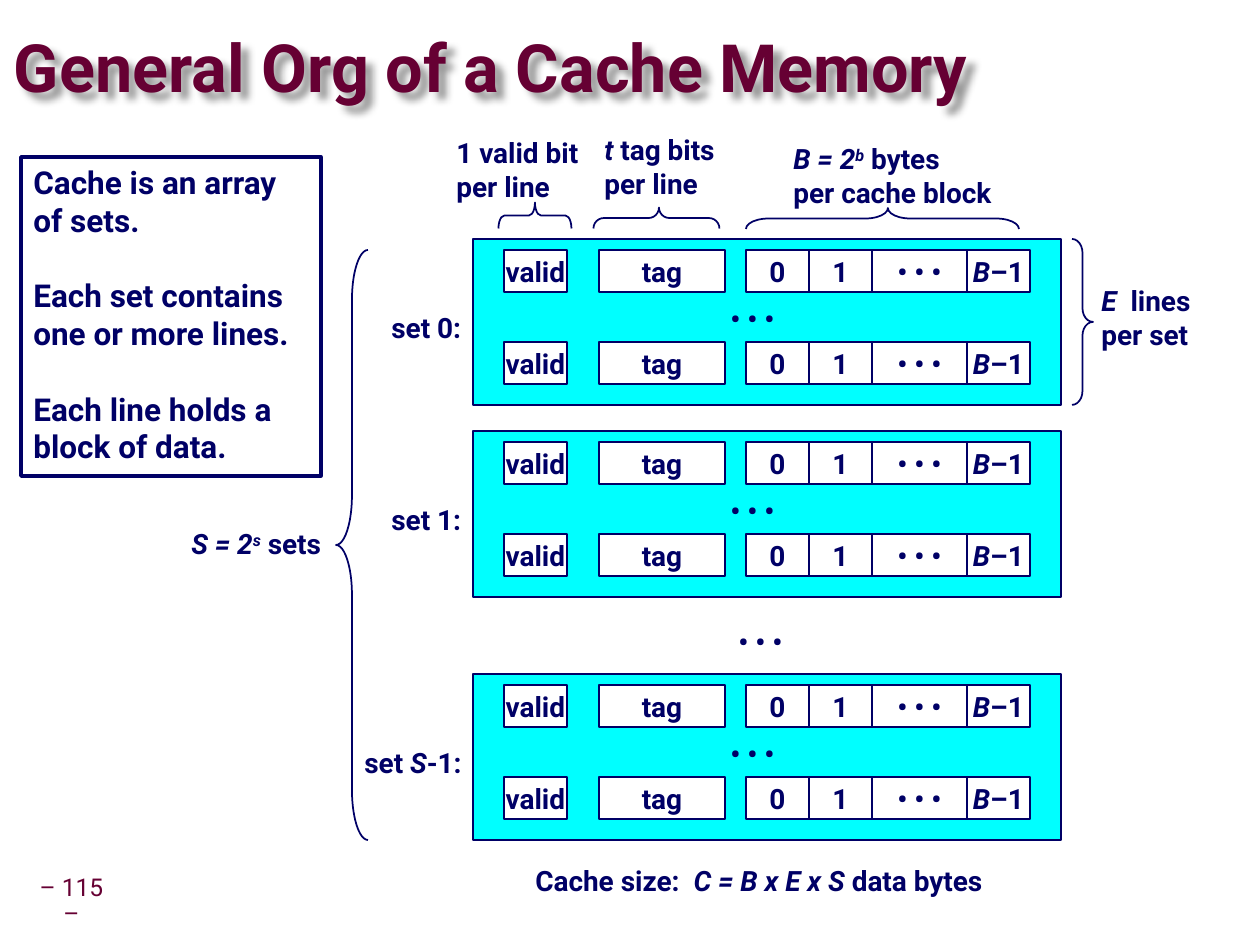
from lxml import etree
from pptx import Presentation
from pptx.dml.color import RGBColor
from pptx.enum.shapes import MSO_SHAPE
from pptx.enum.text import MSO_ANCHOR, PP_ALIGN
from pptx.oxml.ns import qn
from pptx.util import Pt

PX = 914400 / 126
FONT = "Roboto"
NAVY, MAROON, CYAN, WHITE = "000066", "660033", "00FFFF", "FFFFFF"

# A text is a list of lines; a line is a list of (words, style) spans.
# Styles: "" upright, "i" italic, "^" italic superscript.
DOTS = [[("•\u00a0•\u00a0•", "")]]
LABELS = [  # left, top, width, height, lines
    (781, 135, 237, 81, [[("B = 2", "i"), ("b", "^"), (" bytes", "")],
                         [("per cache block", "")]]),
    (1089, 277, 131, 81, [[("E", "i"), ("  lines", "")], [("per set", "")]]),
    (179, 520, 166, 47, [[("S = 2", "i"), ("s", "^"), (" sets", "")]]),
    (592, 126, 142, 81, [[("t ", "i"), ("tag bits", "")], [("per line", "")]]),
    (444, 129, 155, 81, [[("1 valid bit", "")], [("per line", "")]]),
    (523, 857, 514, 47, [[("Cache size:  ", ""), ("C = B x E x S ", "i"),
                          ("data bytes", "")]]),
    (726, 620, 95, 42, DOTS),
]
FACTS = [
    ("Cache is an array", "of sets."),
    ("Each set contains", "one or more lines."),
    ("Each line holds a", "block of data."),
]
SETS = [  # top, label left, label width, label
    (239, 379, 98, [("set 0:", "")]),
    (431, 379, 98, [("set 1:", "")]),
    (674, 352, 127, [("set ", ""), ("S", "i"), ("-1:", "")]),
]
CELLS = [  # left, width, lines
    (504, 63, [[("valid", "")]]),
    (599, 126, [[("tag", "")]]),
    (746, 63, [[("0", "")]]),
    (809, 63, [[("1", "")]]),
    (872, 95, DOTS),
    (967, 63, [[("B", "i"), ("–1", "")]]),
]
SET_LEFT, SET_WIDTH, SET_HEIGHT = 473, 588, 166
CELL_HEIGHT, CELL_OFFSETS = 42, (11, 103)
BRACES = [  # kind, left, top, width, height, rotation, curl, tip position
    (MSO_SHAPE.RIGHT_BRACE, 872, 82, 21, 273, 270, 1.08, 0.52),
    (MSO_SHAPE.RIGHT_BRACE, 1072, 239, 21, 166, 0, 0.66, 0.5),
    (MSO_SHAPE.LEFT_BRACE, 336, 250, 32, 590, 0, 1.56, 0.5),
    (MSO_SHAPE.RIGHT_BRACE, 646, 155, 21, 126, 270, 0.5, 0.52),
    (MSO_SHAPE.RIGHT_BRACE, 522, 179, 26, 73, 270, 0.23, 0.5),
]


def px(*values):
    return [round(value * PX) for value in values]


def color(value):
    return RGBColor.from_string(value)


def write(box, lines, size=16, ink=NAVY, bold=True, align=PP_ALIGN.LEFT,
          anchor=MSO_ANCHOR.MIDDLE, wrap=False, spacing=None, inset=None):
    frame = box.text_frame
    frame.word_wrap = wrap
    frame.vertical_anchor = anchor
    if inset is not None:
        for side in ("left", "top", "right", "bottom"):
            setattr(frame, f"margin_{side}", px(inset)[0])
    for index, line in enumerate(lines):
        para = frame.add_paragraph() if index else frame.paragraphs[0]
        para.alignment = align
        para.line_spacing = spacing
        for words, style in line:
            span = para.add_run()
            span.text = words
            look = {"name": FONT, "size": Pt(size), "bold": bold, "italic": style != ""}
            for key, value in look.items():
                setattr(span.font, key, value)
            span.font.color.rgb = color(ink)
            if style == "^":
                span.font._element.set("baseline", "30000")
    return frame


def add_text(page, left, top, width, height, lines, **look):
    box = page.shapes.add_textbox(*px(left, top, width, height))
    write(box, lines, **look)
    return box


def add_outlined(page, kind, left, top, width, height, fill=None, weight=1):
    shape = page.shapes.add_shape(kind, *px(left, top, width, height))
    shape.shadow.inherit = False
    shape.line.color.rgb = color(NAVY)
    shape.line.width = Pt(weight)
    if fill:
        shape.fill.solid()
        shape.fill.fore_color.rgb = color(fill)
    else:
        shape.fill.background()
    return shape


def add_soft_shadow(box):
    effects = etree.SubElement(box._element.spPr, qn("a:effectLst"))
    shadow = etree.SubElement(effects, qn("a:outerShdw"), blurRad="50800",
                              dist="63500", dir="2700000", algn="tl")
    tint = etree.SubElement(shadow, qn("a:srgbClr"), val="000000")
    etree.SubElement(tint, qn("a:alpha"), val="40000")


def add_set(page, top, label_left, label_width, label):
    add_outlined(page, MSO_SHAPE.RECTANGLE, SET_LEFT, top, SET_WIDTH, SET_HEIGHT, CYAN)
    for offset in CELL_OFFSETS:
        for left, width, lines in CELLS:
            cell = add_outlined(page, MSO_SHAPE.RECTANGLE, left, top + offset,
                                width, CELL_HEIGHT, WHITE)
            write(cell, lines, align=PP_ALIGN.CENTER)
    add_text(page, label_left, top + 65, label_width, 47, [label])
    add_text(page, 718, top + 58, 95, CELL_HEIGHT, DOTS)


def add_facts(page):
    box = add_outlined(page, MSO_SHAPE.RECTANGLE, 21, 157, 300, 319, weight=2)
    lines = [[(line, "")] for fact in FACTS for line in fact]
    frame = write(box, lines, size=18, anchor=MSO_ANCHOR.TOP)
    for para in frame.paragraphs[2::2]:
        para.space_before = Pt(21.5)


def main():
    deck = Presentation()
    deck.slide_width, deck.slide_height = px(1260, 945)
    page = deck.slides.add_slide(deck.slide_layouts[6])

    title = add_text(page, 14, 32, 1232, 79, [[("General Org of a Cache Memory", "")]],
                     size=38, ink=MAROON, wrap=True, spacing=0.87, inset=0)
    add_soft_shadow(title)
    add_text(page, 30, 882, 83, 39, [[("– 115 –", "")]], size=14, ink=MAROON,
             bold=False, align=PP_ALIGN.CENTER, wrap=True, spacing=0.9, inset=6)
    for row in SETS:
        add_set(page, *row)
    for kind, left, top, width, height, rotation, curl, tip in BRACES:
        brace = add_outlined(page, kind, left, top, width, height)
        brace.rotation = rotation
        brace.adjustments[0] = curl
        brace.adjustments[1] = tip
    for label in LABELS:
        add_text(page, *label)
    add_facts(page)
    deck.save("out.pptx")


if __name__ == "__main__":
    main()
